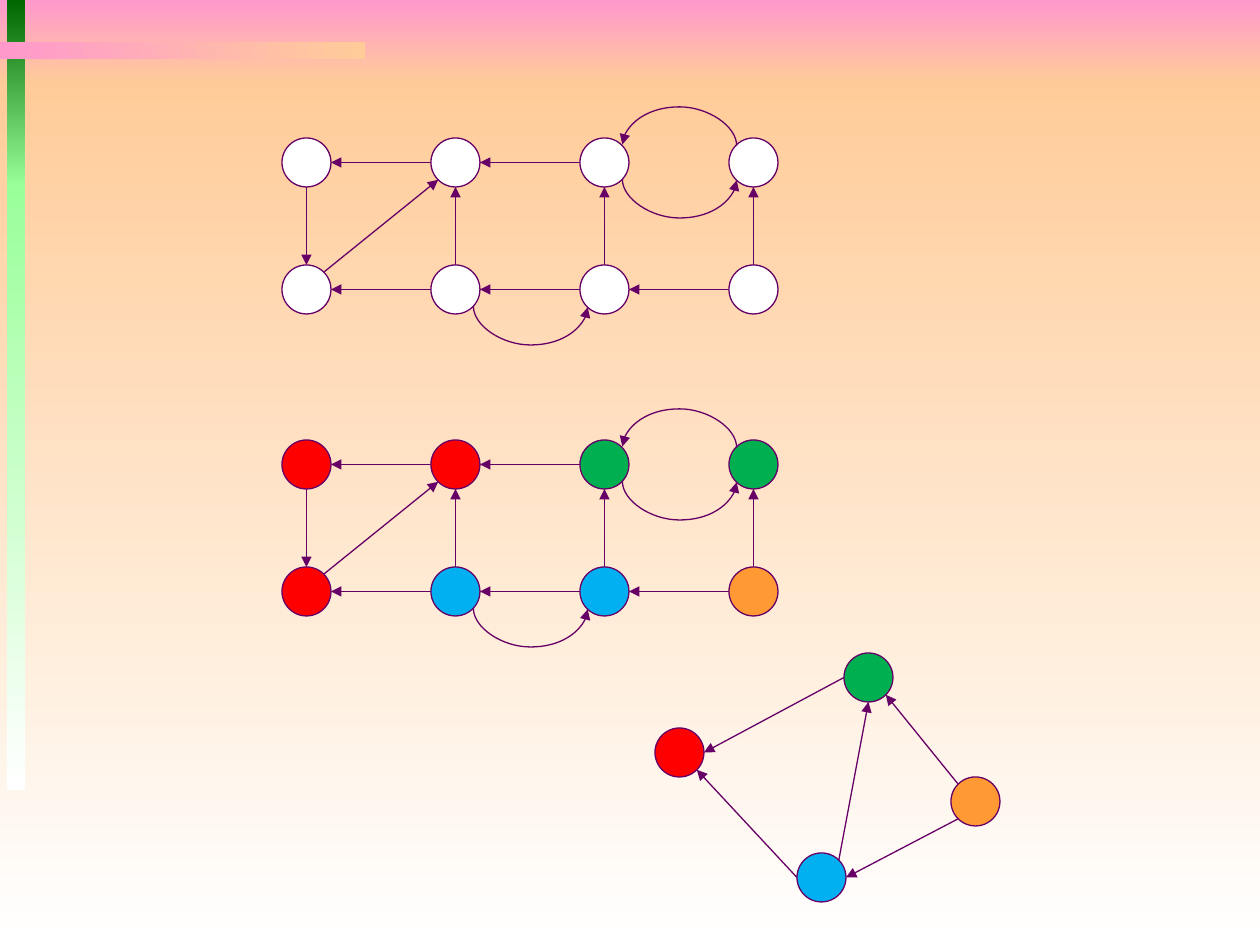
from math import cos, radians, sin

from lxml.etree import SubElement
from pptx import Presentation
from pptx.dml.color import RGBColor
from pptx.enum.shapes import MSO_CONNECTOR, MSO_SHAPE
from pptx.oxml.ns import qn
from pptx.util import Emu, Pt

SCALE = 914400 / 126
DIAMETER = 49
BULGE = 39
INK = "660066"
WHITE, RED, GREEN, BLUE, ORANGE = "FFFFFF", "FF0000", "00B050", "00B0F0", "FF9933"

# Connection sites of an ellipse, counter-clockwise from the top
TOP, TOP_LEFT, LEFT, BOTTOM_LEFT, BOTTOM, BOTTOM_RIGHT, RIGHT, TOP_RIGHT = range(8)

# Gradient bands: left, top, width, height, first colour, last colour, angle
BANDS = [
    (0, 0, 1260, 84, "FF99CC", "FFCC99", 270),
    (0, 84, 1260, 861, "FFCC99", "FFFFFF", 270),
    (7, 0, 18, 186, "006600", "99FF99", 270),
    (7, 184, 18, 606, "99FF99", "FFFFFF", 270),
    (0, 42, 365, 17, "FF99CC", "FFCC99", 0),
]

# Grid nodes are numbered 0-3 in the upper row and 4-7 in the lower row
GRID_EDGES = [
    (1, LEFT, 0, RIGHT), (2, LEFT, 1, RIGHT),
    (5, TOP, 1, BOTTOM), (6, TOP, 2, BOTTOM), (7, TOP, 3, BOTTOM),
    (0, BOTTOM, 4, TOP),
    (5, LEFT, 4, RIGHT), (6, LEFT, 5, RIGHT), (7, LEFT, 6, RIGHT),
    (4, TOP_RIGHT, 1, BOTTOM_LEFT),
]
GRID_ARCS = [
    (3, TOP_LEFT, 2, TOP_RIGHT, "flipV"),
    (2, BOTTOM_RIGHT, 3, BOTTOM_LEFT, "flipH"),
    (5, BOTTOM_RIGHT, 6, BOTTOM_LEFT, "flipH"),
]


def px(n):
    return Emu(round(n * SCALE))


def rgb(color):
    return RGBColor.from_string(color)


def add_band(slide, x, y, w, h, first, last, angle):
    s = slide.shapes.add_shape(MSO_SHAPE.RECTANGLE, px(x), px(y), px(w), px(h))
    s.shadow.inherit = False
    s.line.fill.background()
    s.fill.gradient()
    s.fill.gradient_angle = angle
    for stop, color, position in zip(s.fill.gradient_stops, (first, last), (0, 1)):
        stop.color.rgb = rgb(color)
        stop.position = position


def add_node(slide, x, y, color):
    s = slide.shapes.add_shape(MSO_SHAPE.OVAL, px(x), px(y), px(DIAMETER), px(DIAMETER))
    s.shadow.inherit = False
    s.fill.solid()
    s.fill.fore_color.rgb = rgb(color)
    s.line.color.rgb = rgb(INK)
    s.line.width = Pt(0.75)
    return s


def site_point(node, site):
    """Point on the node's rim at a connection site."""
    r = node.width / 2
    a = radians(45 * site)
    return (round(node.left + r - r * sin(a)), round(node.top + r - r * cos(a)))


def style_arrow(c):
    c.line.color.rgb = rgb(INK)
    c.line.width = Pt(0.75)
    SubElement(c.line._get_or_add_ln(), qn("a:tailEnd"), type="triangle")
    SubElement(c._element.spPr, qn("a:effectLst"))


def add_edge(slide, start, start_site, end, end_site):
    c = slide.shapes.add_connector(
        MSO_CONNECTOR.STRAIGHT, *site_point(start, start_site), *site_point(end, end_site))
    style_arrow(c)
    # Glue both ends to the ellipses' own connection sites
    props = c._element.find(".//" + qn("p:cNvCxnSpPr"))
    for tag, node, site in (("a:stCxn", start, start_site), ("a:endCxn", end, end_site)):
        SubElement(props, qn(tag), id=str(node.shape_id), idx=str(site))


def add_arc(slide, start, start_site, end, end_site, flip):
    """Curved arrow between level points; flipV bulges up, flipH down."""
    x1, y = site_point(start, start_site)
    x2, _ = site_point(end, end_site)
    mid, half = (x1 + x2) // 2, abs(x2 - x1) // 2
    c = slide.shapes.add_connector(
        MSO_CONNECTOR.CURVE, mid, y - half, mid + px(1), y + half)
    style_arrow(c)
    xfrm = c._element.spPr.find(qn("a:xfrm"))
    xfrm.set("rot", str(270 * 60000))
    xfrm.set(flip, "1")
    guides = c._element.spPr.find(".//" + qn("a:avLst"))
    SubElement(guides, qn("a:gd"), name="adj1", fmla=f"val {BULGE * 100000}")


def add_grid_graph(slide, top, colors):
    nodes = [add_node(slide, 282 + 149 * (i % 4), top + 127 * (i // 4), color)
             for i, color in enumerate(colors)]
    for a, a_site, b, b_site in GRID_EDGES:
        add_edge(slide, nodes[a], a_site, nodes[b], b_site)
    for a, a_site, b, b_site, flip in GRID_ARCS:
        add_arc(slide, nodes[a], a_site, nodes[b], b_site, flip)


def add_component_graph(slide):
    red = add_node(slide, 655, 728, RED)
    blue = add_node(slide, 797, 853, BLUE)
    green = add_node(slide, 844, 653, GREEN)
    orange = add_node(slide, 951, 777, ORANGE)
    add_edge(slide, green, LEFT, red, RIGHT)
    add_edge(slide, orange, TOP_LEFT, green, BOTTOM_RIGHT)
    add_edge(slide, orange, BOTTOM_LEFT, blue, RIGHT)
    add_edge(slide, blue, LEFT, red, BOTTOM_RIGHT)
    add_edge(slide, blue, TOP_RIGHT, green, BOTTOM)


def main():
    prs = Presentation()
    prs.slide_width, prs.slide_height = px(1260), px(945)
    slide = prs.slides.add_slide(prs.slide_layouts[6])
    # Backdrop
    for band in BANDS:
        add_band(slide, *band)
    # Plain graph, coloured components, and the graph of components
    add_grid_graph(slide, 138, [WHITE] * 8)
    add_grid_graph(slide, 440, [RED, RED, GREEN, GREEN, RED, BLUE, BLUE, ORANGE])
    add_component_graph(slide)
    prs.save("out.pptx")


if __name__ == "__main__":
    main()
